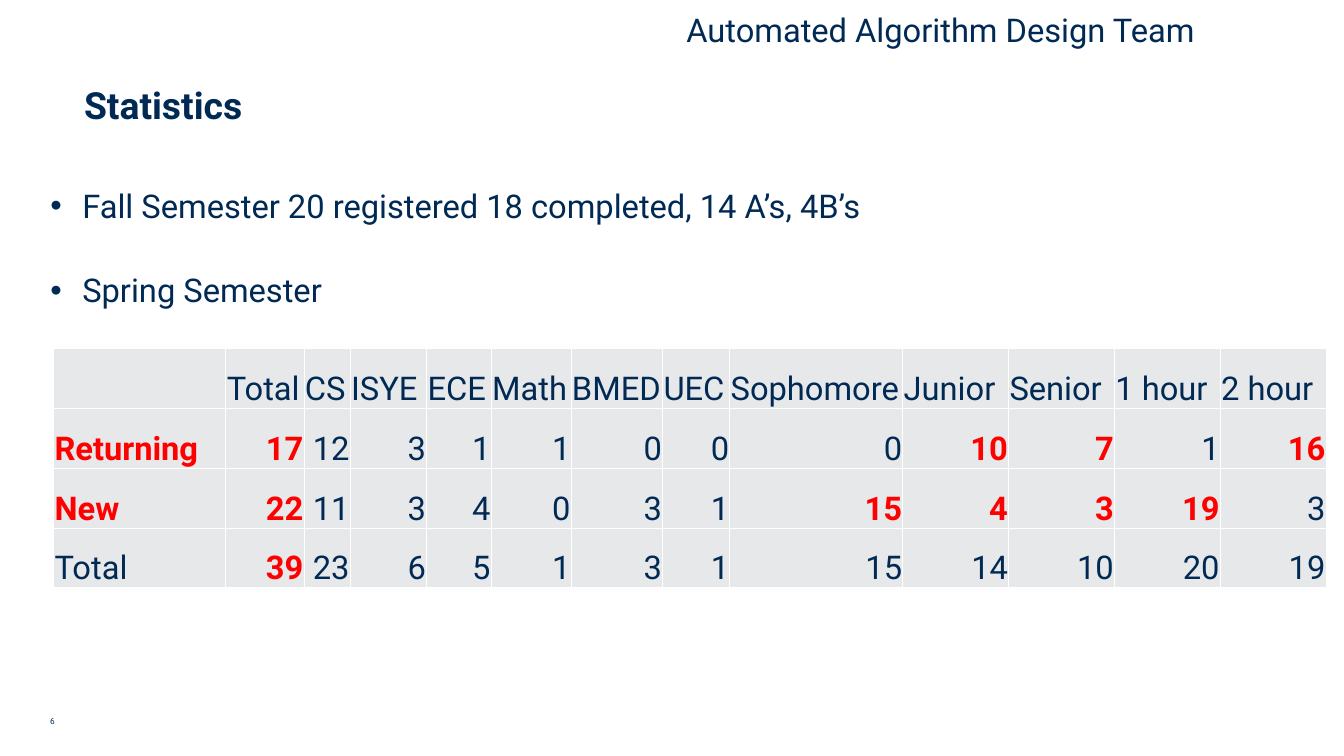
"""Build the team statistics slide with its semester table."""
from dataclasses import dataclass

from lxml import etree
from pptx import Presentation
from pptx.dml.color import RGBColor
from pptx.enum import text as t
from pptx.oxml.ns import qn
from pptx.util import Inches, Pt

FACE = "Roboto"
NAVY, RED, GRAY, WHITE = "002A54", "FF0000", "E7E8E9", "FFFFFF"
LEFT, RIGHT, CENTER = t.PP_ALIGN.LEFT, t.PP_ALIGN.RIGHT, t.PP_ALIGN.CENTER


@dataclass
class Column:
    width: float
    cells: tuple
    hot: tuple = ()


@dataclass
class Label:
    box: tuple
    words: str
    size: float
    align: t.PP_ALIGN = LEFT
    lead: float = 1.0
    after: float = 0


COLUMNS = [
    Column(2.05, ("", "Returning", "New", "Total"), (1, 2)),
    Column(0.93, ("Total", "17", "22", "39"), (1, 2, 3)),
    Column(0.55, ("CS", "12", "11", "23")),
    Column(0.91, ("ISYE", "3", "3", "6")),
    Column(0.77, ("ECE", "1", "4", "5")),
    Column(0.95, ("Math", "1", "0", "1")),
    Column(1.09, ("BMED", "0", "3", "3")),
    Column(0.8, ("UEC", "0", "1", "1")),
    Column(2.06, ("Sophomore", "0", "15", "15"), (2,)),
    Column(1.26, ("Junior", "10", "4", "14"), (1, 2)),
    Column(1.26, ("Senior", "7", "3", "10"), (1, 2)),
    Column(1.26, ("1 hour", "1", "19", "20"), (2,)),
    Column(1.26, ("2 hour", "16", "3", "19"), (1,)),
]
LABELS = [
    Label((0.5, 8.48, 1.93, 0.22), "6", 7),
    Label((8.04, 0.14, 6.31, 0.5), "Automated Algorithm Design Team", 28,
          CENTER, 0.85, 12),
]
POINTS = ["Fall Semester 20 registered 18 completed, 14 A’s, 4B’s",
          "Spring Semester"]


def paint(target, color: str) -> None:
    target.rgb = RGBColor.from_string(color)


def style(para, size: float, color: str = NAVY, bold: bool = False,
          align=LEFT) -> None:
    para.alignment = align
    font = para.font
    font.name, font.size, font.bold = FACE, Pt(size), bold
    paint(font.color, color)


def place(shape, box: tuple) -> None:
    shape.left, shape.top, shape.width, shape.height = map(Inches, box)


def add_label(slide, label: Label) -> None:
    frame = slide.shapes.add_textbox(*map(Inches, label.box)).text_frame
    frame.word_wrap = True
    frame.text = label.words
    para = frame.paragraphs[0]
    style(para, label.size, align=label.align)
    para.line_spacing, para.space_after = label.lead, Pt(label.after)


def fill_title(shape) -> None:
    place(shape, (0.9, 0.98, 14.6, 1.03))
    frame = shape.text_frame
    frame.text = "Statistics"
    frame.auto_size = t.MSO_AUTO_SIZE.NONE
    frame.vertical_anchor = t.MSO_ANCHOR.TOP
    frame.margin_top = frame.margin_bottom = 0
    style(frame.paragraphs[0], 32, bold=True)


def fill_list(shape) -> None:
    place(shape, (0.5, 2.21, 15.5, 5.72))
    frame = shape.text_frame
    frame.text = "\n".join(POINTS)
    frame.auto_size = t.MSO_AUTO_SIZE.NONE
    for para in frame.paragraphs:
        style(para, 28)
        para.line_spacing, para.space_before = 0.9, Pt(42)
        props = para._p.get_or_add_pPr()
        props.set("marL", str(Inches(0.38)))
        props.set("indent", str(-Inches(0.38)))


def add_edges(cell) -> None:
    props = cell._tc.get_or_add_tcPr()
    for side in ("lnL", "lnR", "lnT", "lnB"):
        line = etree.SubElement(props, qn(f"a:{side}"), w=str(Pt(1)))
        fill = etree.SubElement(line, qn("a:solidFill"))
        etree.SubElement(fill, qn("a:srgbClr"), val=WHITE)


def fill_cell(cell, words: str, hot: bool, align) -> None:
    add_edges(cell)
    cell.fill.solid()
    paint(cell.fill.fore_color, GRAY)
    cell.vertical_anchor = t.MSO_ANCHOR.BOTTOM
    cell.margin_left = cell.margin_right = cell.margin_top = Inches(0.01)
    cell.margin_bottom = 0
    cell.text = words
    style(cell.text_frame.paragraphs[0], 28, RED if hot else NAVY, hot, align)


def add_grid(slide) -> None:
    count = len(COLUMNS[0].cells)
    box = map(Inches, (0.64, 4.15, 15.15, 2.85))
    table = slide.shapes.add_table(count, len(COLUMNS), *box).table
    table.first_row = table.horz_banding = False
    for x, column in enumerate(COLUMNS):
        table.columns[x].width = Inches(column.width)
        for y, words in enumerate(column.cells):
            align = RIGHT if x and y else LEFT
            fill_cell(table.cell(y, x), words, y in column.hot, align)


def main() -> None:
    deck = Presentation()
    deck.slide_width, deck.slide_height = Inches(16), Inches(9)
    slide = deck.slides.add_slide(deck.slide_layouts[1])
    for label in LABELS:
        add_label(slide, label)
    fill_title(slide.shapes.title)
    fill_list(slide.placeholders[1])
    add_grid(slide)
    deck.save("out.pptx")


if __name__ == "__main__":
    main()
